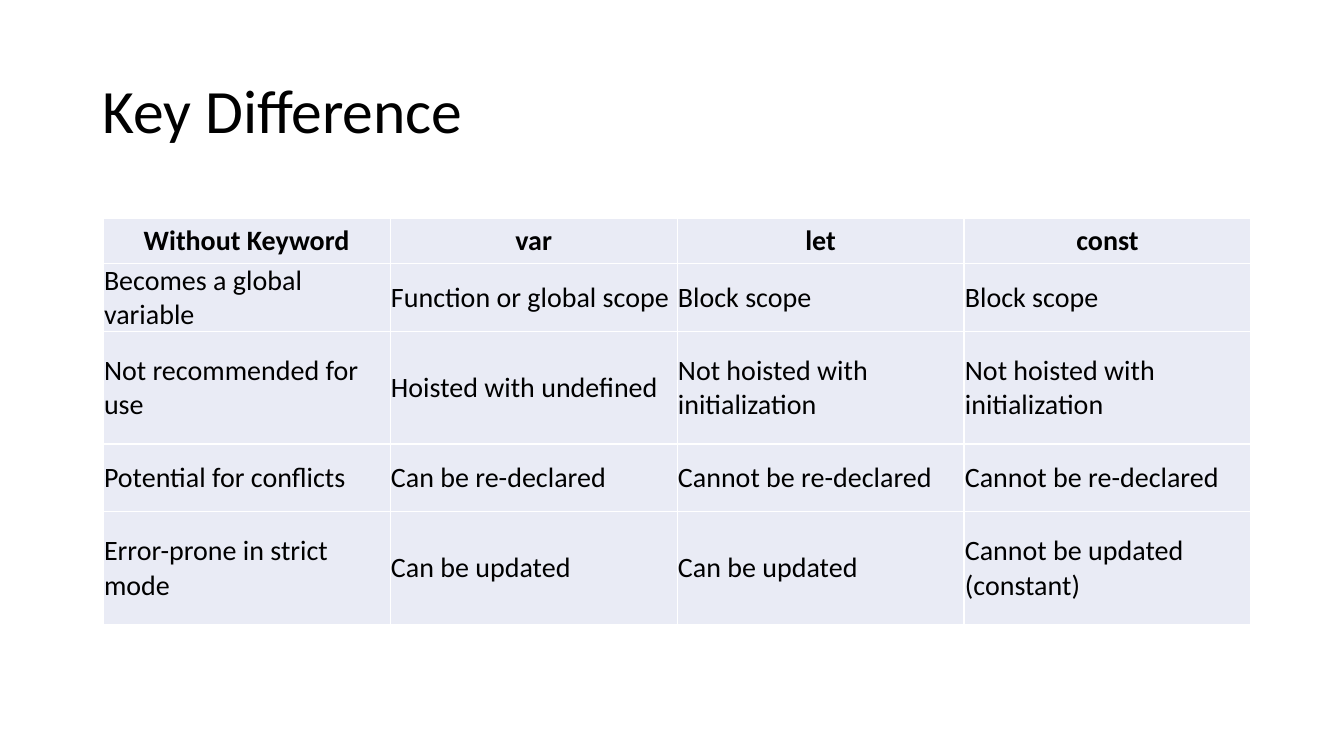
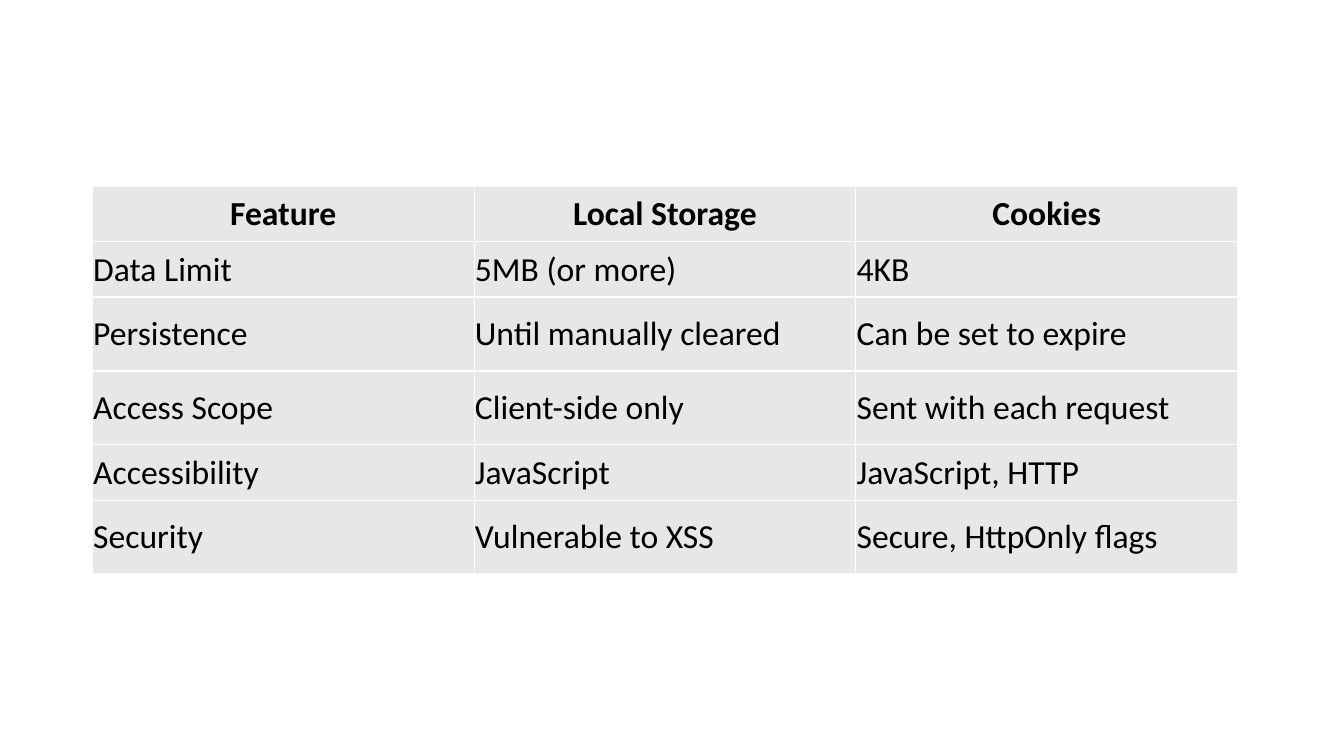
from dataclasses import dataclass

from lxml.etree import SubElement
from pptx import Presentation
from pptx.dml.color import RGBColor
from pptx.enum.text import MSO_ANCHOR, PP_ALIGN
from pptx.oxml.ns import qn
from pptx.slide import Slide
from pptx.table import _Cell
from pptx.text.text import _Paragraph
from pptx.util import Pt

FONT = "Calibri"
HUES = {"ink": "000000", "line": "FFFFFF", "blue": "E9EBF5", "grey": "E7E7E7"}


@dataclass
class Grid:
    left: float
    top: float
    width: float
    rows: list[float]
    size: float
    hue: str
    cells: list[list[str]]


SCOPE = Grid(
    73.7, 155.8, 820, [32.2, 48.2, 80.6, 48.2, 80.6], 20, "blue",
    [
        ["Without Keyword", "var", "let", "const"],
        ["Becomes a global variable", "Function or global scope",
         "Block scope", "Block scope"],
        ["Not recommended for use", "Hoisted with undefined",
         "Not hoisted with initialization", "Not hoisted with initialization"],
        ["Potential for conflicts", "Can be re-declared",
         "Cannot be re-declared", "Cannot be re-declared"],
        ["Error-prone in strict mode", "Can be updated",
         "Can be updated", "Cannot be updated (constant)"],
    ],
)

STORE = Grid(
    66, 133.2, 818, [39.5, 39.5, 52.8, 52.8, 39.5, 52.8], 24, "grey",
    [
        ["Feature", "Local Storage", "Cookies"],
        ["Data Limit", "5MB (or more)", "4KB"],
        ["Persistence", "Until manually cleared", "Can be set to expire"],
        ["Access Scope", "Client-side only", "Sent with each request"],
        ["Accessibility", "JavaScript", "JavaScript, HTTP"],
        ["Security", "Vulnerable to XSS", "Secure, HttpOnly flags"],
    ],
)


def write(para: _Paragraph, text: str, size: float, bold: bool = False) -> None:
    run = para.add_run()
    run.text = text
    font = run.font
    font.name, font.size, font.bold = FONT, Pt(size), bold
    font.color.rgb = RGBColor.from_string(HUES["ink"])


def title(slide: Slide, text: str) -> None:
    frame = slide.shapes.add_textbox(Pt(66), Pt(28.8), Pt(828), Pt(104.4)).text_frame
    frame.word_wrap = True
    frame.vertical_anchor = MSO_ANCHOR.MIDDLE
    para = frame.paragraphs[0]
    para.line_spacing = 0.9
    write(para, text, 44)


def border(cell: _Cell) -> None:
    props = cell._tc.get_or_add_tcPr()
    for side in ("lnL", "lnR", "lnT", "lnB"):
        line = SubElement(props, qn(f"a:{side}"), w=str(Pt(1)))
        fill = SubElement(line, qn("a:solidFill"))
        SubElement(fill, qn("a:srgbClr"), val=HUES["line"])


def style(cell: _Cell, hue: str) -> None:
    border(cell)
    cell.fill.solid()
    cell.fill.fore_color.rgb = RGBColor.from_string(HUES[hue])
    cell.vertical_anchor = MSO_ANCHOR.MIDDLE
    cell.margin_left = cell.margin_right = cell.margin_top = Pt(0.6)
    cell.margin_bottom = Pt(0)


def draw(slide: Slide, grid: Grid) -> None:
    count = len(grid.cells[0])
    table = slide.shapes.add_table(
        len(grid.rows), count, Pt(grid.left), Pt(grid.top),
        Pt(grid.width), Pt(sum(grid.rows)),
    ).table
    table.first_row = table.horz_banding = False
    for col in table.columns:
        col.width = Pt(grid.width / count)
    for r, (high, texts) in enumerate(zip(grid.rows, grid.cells)):
        table.rows[r].height = Pt(high)
        head = r == 0
        for c, text in enumerate(texts):
            cell = table.cell(r, c)
            style(cell, grid.hue)
            para = cell.text_frame.paragraphs[0]
            para.alignment = PP_ALIGN.CENTER if head else PP_ALIGN.LEFT
            write(para, text, grid.size, head)


def main() -> None:
    deck = Presentation()
    deck.slide_width, deck.slide_height = Pt(960), Pt(540)
    blank = deck.slide_layouts[6]
    first = deck.slides.add_slide(blank)
    title(first, "Key Difference")
    draw(first, SCOPE)
    draw(deck.slides.add_slide(blank), STORE)
    deck.save("out.pptx")


if __name__ == "__main__":
    main()
